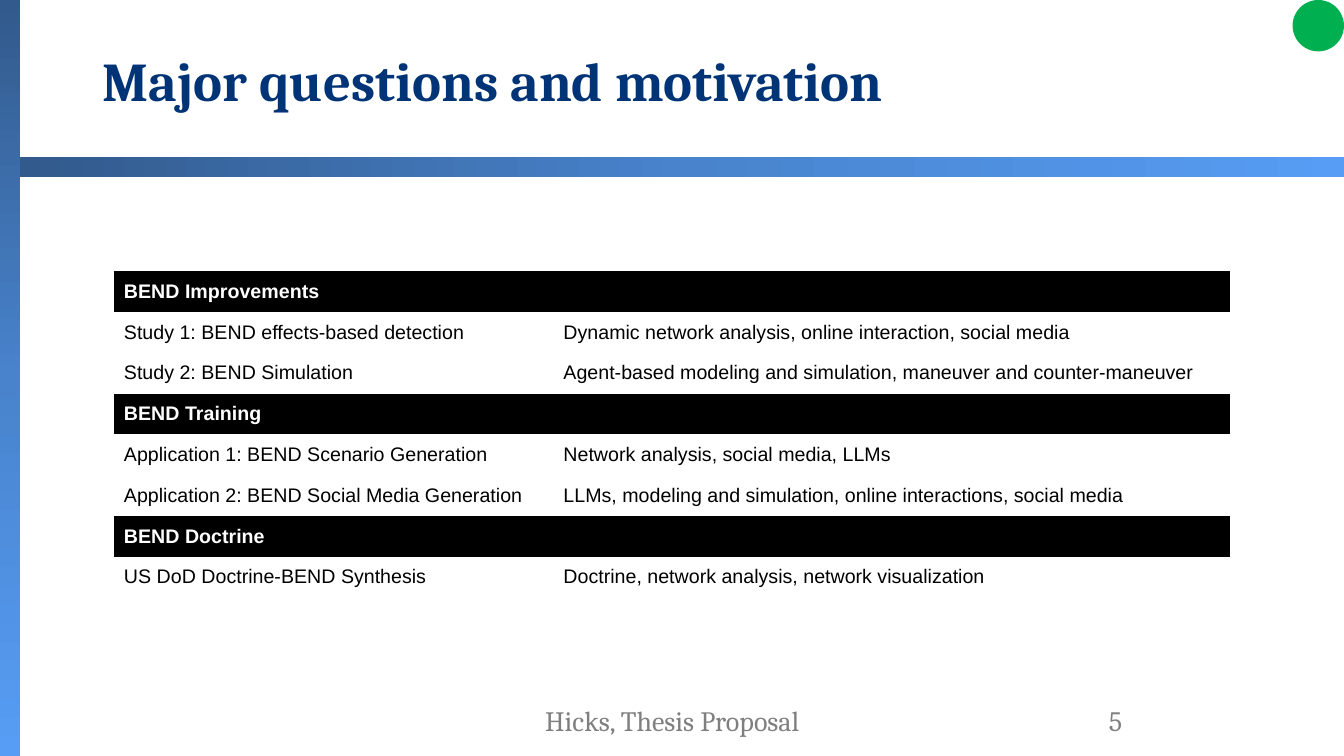
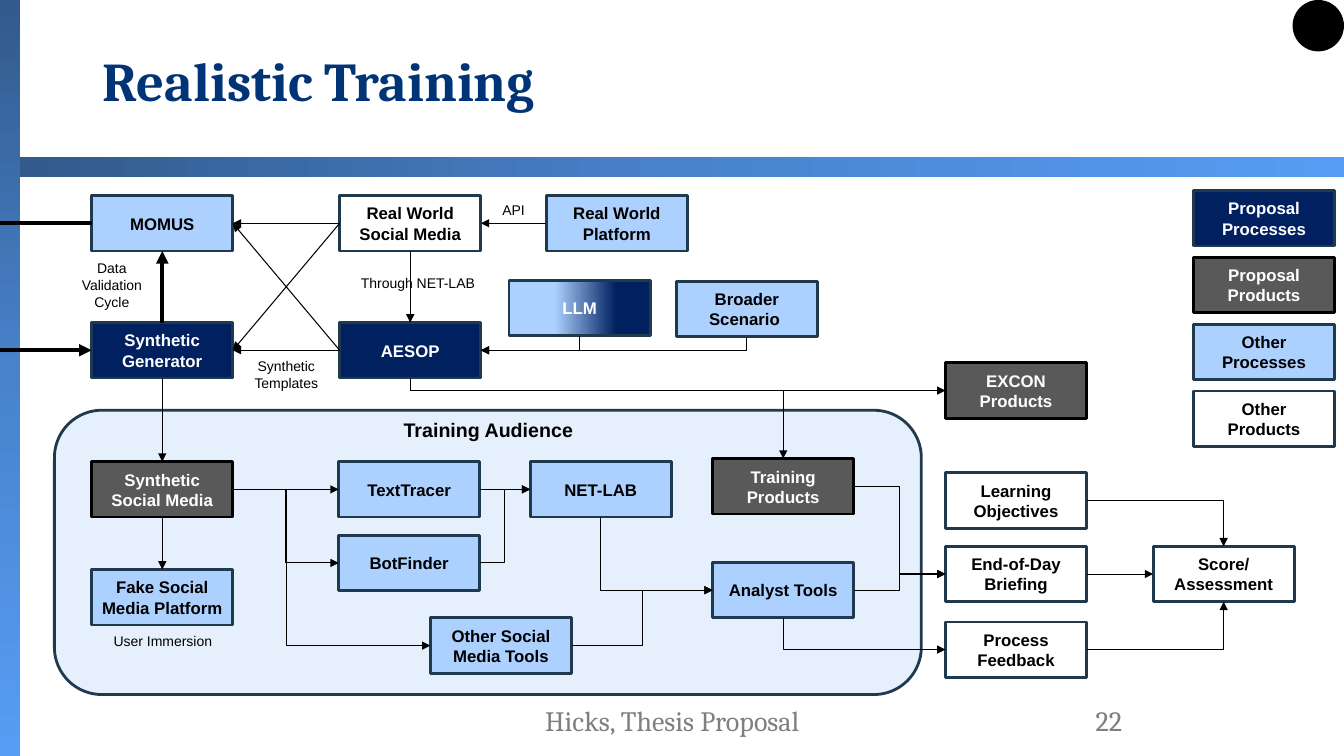
"""Builds two thesis proposal slides: a study overview table and a training process diagram."""
import dataclasses
import enum
import typing

import pptx
import pptx.dml.color
import pptx.enum.dml
import pptx.enum.shapes
import pptx.enum.text
import pptx.oxml
import pptx.oxml.ns
import pptx.util

Align = pptx.enum.text.PP_ALIGN
Anchor = pptx.enum.text.MSO_ANCHOR
Preset = pptx.enum.shapes.MSO_SHAPE
Connector = pptx.enum.shapes.MSO_CONNECTOR
Point = tuple[int, int]
Stops = tuple[tuple[int, str], ...]
Fill = typing.Union[str, Stops]

COLUMNS, ROWS = 133.33, 75
BOX_WIDTH, BOX_HEIGHT = 14, 5.5
NO_GRID_STYLE = "{2D5ABB26-0587-4C30-8999-92F81FD0307C}"


@dataclasses.dataclass(frozen=True)
class Theme:
    heading_font: str = "Cambria"
    body_font: str = "Arial"
    title_size: int = 39
    footer_size: int = 20
    table_size: int = 14
    box_size: int = 12
    label_size: int = 10
    title: str = "003477"
    footer: str = "7F7F7F"
    black: str = "000000"
    white: str = "FFFFFF"
    green: str = "00B050"
    navy: str = "002060"
    sky: str = "ADD1FF"
    pale: str = "E6F0FD"
    gray: str = "595959"
    outline: str = "1F394F"
    band: Stops = ((0, "325A8C"), (50, "4883CC"), (100, "579DF5"))
    blend: Stops = ((32, "ADD1FF"), (76, "002060"))


THEME = Theme()


class Side(enum.IntEnum):
    TOP = 0
    LEFT = 1
    BOTTOM = 2
    RIGHT = 3


class Area(typing.NamedTuple):
    left: float
    top: float
    width: float
    height: float


@dataclasses.dataclass(frozen=True)
class BoxStyle:
    fill: Fill
    text: str
    line: str = THEME.outline


PROPOSAL_PROCESS = BoxStyle(THEME.navy, THEME.white)
PROPOSAL_PRODUCT = BoxStyle(THEME.gray, THEME.white, THEME.black)
OTHER_PROCESS = BoxStyle(THEME.sky, THEME.black)
OTHER_PRODUCT = BoxStyle(THEME.white, THEME.black)
MIXED_PROCESS = BoxStyle(THEME.blend, THEME.white)


class Box(typing.NamedTuple):
    text: str
    left: float
    top: float
    style: BoxStyle


class Link(typing.NamedTuple):
    start: str
    start_side: Side
    end: str
    end_side: Side
    bend: typing.Optional[float] = None
    width: float = 0.75


class Label(typing.NamedTuple):
    text: str
    area: Area
    wrap: bool = False
    size: int = THEME.label_size
    bold: bool = False


TABLE_ROWS = (
    ("BEND Improvements", ""),
    ("Study 1: BEND effects-based detection", "Dynamic network analysis, online interaction, social media"),
    ("Study 2: BEND Simulation", "Agent-based modeling and simulation, maneuver and counter-maneuver"),
    ("BEND Training", ""),
    ("Application 1: BEND Scenario Generation", "Network analysis, social media, LLMs"),
    ("Application 2: BEND Social Media Generation",
     "LLMs, modeling and simulation, online interactions, social media"),
    ("BEND Doctrine", ""),
    ("US DoD Doctrine-BEND Synthesis", "Doctrine, network analysis, network visualization"),
)

BOXES = {
    "momus": Box("MOMUS", 9.1, 19.4, OTHER_PROCESS),
    "generator": Box("Synthetic Generator", 9.1, 32, PROPOSAL_PROCESS),
    "synthetic": Box("Synthetic Social Media", 9.1, 45.8, PROPOSAL_PRODUCT),
    "fake": Box("Fake Social Media Platform", 9.1, 56.5, OTHER_PROCESS),
    "real": Box("Real World Social Media", 33.7, 19.4, OTHER_PRODUCT),
    "aesop": Box("AESOP", 33.7, 32, PROPOSAL_PROCESS),
    "mapper": Box("TextTracer", 33.6, 45.8, OTHER_PROCESS),
    "hunter": Box("BotFinder", 33.6, 53.1, OTHER_PROCESS),
    "tools": Box("Other Social Media Tools", 42.7, 61.3, OTHER_PROCESS),
    "platform": Box("Real World Platform", 54.2, 19.4, OTHER_PROCESS),
    "llm": Box("LLM", 50.5, 27.8, MIXED_PROCESS),
    "scenario": Box("Broader Scenario ", 67.1, 27.9, OTHER_PROCESS),
    "network": Box("NET-LAB", 52.6, 45.8, OTHER_PROCESS),
    "training": Box("Training Products", 70.7, 45.5, PROPOSAL_PRODUCT),
    "analyst": Box("Analyst Tools", 70.7, 55.8, OTHER_PROCESS),
    "excon": Box("EXCON Products", 93.8, 36, PROPOSAL_PRODUCT),
    "objectives": Box("Learning Objectives", 93.8, 46.9, OTHER_PRODUCT),
    "briefing": Box("End-of-Day Briefing", 93.8, 54.2, OTHER_PRODUCT),
    "feedback": Box("Process Feedback", 93.8, 61.7, OTHER_PRODUCT),
    "score": Box("Score/ Assessment", 114.4, 54.2, OTHER_PRODUCT),
}

LEGEND = (
    ("Proposal Processes", PROPOSAL_PROCESS),
    ("Proposal Products", PROPOSAL_PRODUCT),
    ("Other Processes", OTHER_PROCESS),
    ("Other Products", OTHER_PRODUCT),
)

LINKS = (
    Link("generator", Side.BOTTOM, "synthetic", Side.TOP),
    Link("generator", Side.TOP, "momus", Side.BOTTOM, width=3),
    Link("synthetic", Side.BOTTOM, "fake", Side.TOP),
    Link("aesop", Side.LEFT, "generator", Side.RIGHT),
    Link("aesop", Side.LEFT, "momus", Side.RIGHT),
    Link("real", Side.LEFT, "generator", Side.RIGHT),
    Link("real", Side.LEFT, "momus", Side.RIGHT),
    Link("real", Side.BOTTOM, "aesop", Side.TOP),
    Link("platform", Side.LEFT, "real", Side.RIGHT),
    Link("llm", Side.BOTTOM, "aesop", Side.RIGHT),
    Link("scenario", Side.BOTTOM, "aesop", Side.RIGHT),
    Link("aesop", Side.BOTTOM, "excon", Side.LEFT),
    Link("aesop", Side.BOTTOM, "training", Side.TOP, 0.16),
    Link("synthetic", Side.RIGHT, "mapper", Side.LEFT),
    Link("synthetic", Side.RIGHT, "hunter", Side.LEFT, 0.5),
    Link("synthetic", Side.RIGHT, "tools", Side.LEFT, 0.27),
    Link("mapper", Side.RIGHT, "network", Side.LEFT),
    Link("hunter", Side.RIGHT, "network", Side.LEFT, 0.5),
    Link("tools", Side.RIGHT, "analyst", Side.LEFT, 0.5),
    Link("network", Side.BOTTOM, "analyst", Side.LEFT),
    Link("training", Side.RIGHT, "briefing", Side.LEFT, 0.5),
    Link("analyst", Side.RIGHT, "briefing", Side.LEFT, 0.5),
    Link("analyst", Side.BOTTOM, "feedback", Side.LEFT),
    Link("objectives", Side.RIGHT, "score", Side.TOP),
    Link("briefing", Side.RIGHT, "score", Side.LEFT),
    Link("feedback", Side.RIGHT, "score", Side.BOTTOM),
)

LABELS = (
    Label("Through NET-LAB", Area(34.4, 26.7, 14.1, 2.7)),
    Label("Synthetic Templates", Area(22.2, 35, 12.4, 4.4), wrap=True),
    Label("Data Validation\nCycle", Area(6.1, 25.3, 10, 6.1), wrap=True),
    Label("User Immersion", Area(10.2, 62.3, 11.9, 2.7)),
    Label("API", Area(48.8, 19.5, 4.3, 2.7)),
    Label("Training Audience", Area(38.9, 41, 19.1, 3.4), size=THEME.table_size, bold=True),
)


def grid(cells: float) -> int:
    """Turns grid cells of a tenth of an inch into a length."""
    return pptx.util.Inches(cells / 10)


def rgb(color: str) -> pptx.dml.color.RGBColor:
    """Reads a hexadecimal colour."""
    return pptx.dml.color.RGBColor.from_string(color)


def write_text(frame, text: str, *, size: float, color: str, font: str = THEME.body_font, bold: bool = False,
               align=Align.LEFT, anchor=Anchor.MIDDLE, wrap: bool = True, spacing: float = 1.0) -> None:
    """Writes one paragraph per line of text in a single format."""
    frame.word_wrap = wrap
    frame.vertical_anchor = anchor
    for index, line in enumerate(text.split("\n")):
        paragraph = frame.paragraphs[0] if index == 0 else frame.add_paragraph()
        paragraph.alignment = align
        paragraph.line_spacing = spacing
        run = paragraph.add_run()
        run.text = line
        run.font.name, run.font.size, run.font.bold = font, pptx.util.Pt(size), bold
        run.font.color.rgb = rgb(color)


def add_text(slide, area: Area, text: str, **text_format) -> None:
    """Adds a text box."""
    write_text(slide.shapes.add_textbox(*map(grid, area)).text_frame, text, **text_format)


def add_shape(slide, preset, area: Area, fill: Fill, line: typing.Optional[str] = None, angle: int = 0):
    """Adds a preset shape with a solid or gradient fill."""
    shape = slide.shapes.add_shape(preset, *map(grid, area))
    shape.shadow.inherit = False
    if isinstance(fill, str):
        shape.fill.solid()
        shape.fill.fore_color.rgb = rgb(fill)
    else:
        shape.fill.gradient()
        shape.fill.gradient_angle = angle
        stop_list = shape._element.spPr.find(".//" + pptx.oxml.ns.qn("a:gsLst"))
        stop_list.clear()
        for position, color in fill:
            stop_list.append(pptx.oxml.parse_xml(
                f'<a:gs {pptx.oxml.ns.nsdecls("a")} pos="{position * 1000}"><a:srgbClr val="{color}"/></a:gs>'))
    if line:
        shape.line.color.rgb = rgb(line)
        shape.line.width = pptx.util.Pt(2)
    else:
        shape.line.fill.background()
    return shape


def add_box(slide, box: Box):
    """Adds a process or product box."""
    shape = add_shape(slide, Preset.RECTANGLE, Area(box.left, box.top, BOX_WIDTH, BOX_HEIGHT),
                      box.style.fill, box.style.line)
    write_text(shape.text_frame, box.text, size=THEME.box_size, color=box.style.text, bold=True, align=Align.CENTER)
    return shape


def add_line(slide, kind, start: Point, end: Point, width: float, arrow: bool = True):
    """Adds a black connector, with an arrowhead at its end if asked."""
    connector = slide.shapes.add_connector(kind, *start, *end)
    connector.line.color.rgb = rgb(THEME.black)
    connector.line.width = pptx.util.Pt(width)
    namespace = pptx.oxml.ns.nsdecls("a")
    if arrow:
        connector.line._get_or_add_ln().append(pptx.oxml.parse_xml(f'<a:tailEnd {namespace} type="triangle"/>'))
    connector._element.spPr.append(pptx.oxml.parse_xml(f"<a:effectLst {namespace}/>"))
    return connector


def side_middle(shape, side: Side) -> Point:
    """Finds the middle of a side of a shape."""
    across = {Side.LEFT: 0, Side.RIGHT: shape.width}.get(side, shape.width // 2)
    down = {Side.TOP: 0, Side.BOTTOM: shape.height}.get(side, shape.height // 2)
    return shape.left + across, shape.top + down


def add_link(slide, shapes: dict, link: Link) -> None:
    """Joins two boxes with a straight or elbow connector."""
    first, last = shapes[link.start], shapes[link.end]
    start, end = side_middle(first, link.start_side), side_middle(last, link.end_side)
    corner = link.start_side % 2 != link.end_side % 2
    elbow = corner or link.bend is not None
    connector = add_line(slide, Connector.ELBOW if elbow else Connector.STRAIGHT, start, end, link.width)
    connector.begin_connect(first, int(link.start_side))
    connector.end_connect(last, int(link.end_side))
    if not elbow:
        return
    properties = connector._element.spPr
    if link.start_side in (Side.TOP, Side.BOTTOM):
        across, down = end[0] - start[0], end[1] - start[1]
        turn = 1 if across < 0 else -1
        center = (start[0] + end[0]) // 2, (start[1] + end[1]) // 2
        half = turn * down // 2, -turn * across // 2
        connector.begin_x, connector.begin_y = center[0] - half[0], center[1] - half[1]
        connector.end_x, connector.end_y = center[0] + half[0], center[1] + half[1]
        properties.find(pptx.oxml.ns.qn("a:xfrm")).set("rot", str(turn * 90 % 360 * 60000))
    geometry = properties.find(pptx.oxml.ns.qn("a:prstGeom"))
    if corner:
        geometry.set("prst", "bentConnector2")
    else:
        guides = geometry.find(pptx.oxml.ns.qn("a:avLst"))
        guides.append(pptx.oxml.parse_xml(
            f'<a:gd {pptx.oxml.ns.nsdecls("a")} name="adj1" fmla="val {round(link.bend * 100000)}"/>'))


def add_base_slide(presentation, title: str, number: int, dot: str):
    """Adds a slide with its bands, title, footer and status dot."""
    slide = presentation.slides.add_slide(presentation.slide_layouts[6])
    add_shape(slide, Preset.RECTANGLE, Area(0, 0, 2, ROWS), THEME.band, angle=270)
    add_shape(slide, Preset.RECTANGLE, Area(2, 15.6, COLUMNS - 2, 2), THEME.band)
    add_text(slide, Area(9.2, 1.6, 115, 13.4), title, size=THEME.title_size, color=THEME.title,
             font=THEME.heading_font, bold=True, spacing=0.9)
    footer = dict(size=THEME.footer_size, color=THEME.footer, font=THEME.heading_font)
    add_text(slide, Area(94.2, 69.5, 18.1, 4), str(number), align=Align.RIGHT, **footer)
    add_text(slide, Area(44.2, 69.5, 45, 4), "Hicks, Thesis Proposal", align=Align.CENTER, **footer)
    add_shape(slide, Preset.OVAL, Area(COLUMNS - 5.1, 0, 5.1, 5.1), dot)
    return slide


def add_study_table(slide) -> None:
    """Adds the table of studies, with a black row above each group."""
    widths = 43.6, 67.1
    area = Area(11.3, 26.9, sum(widths), 32.4)
    table = slide.shapes.add_table(len(TABLE_ROWS), len(widths), *map(grid, area)).table
    table.first_row = table.horz_banding = False
    table._tbl.tblPr.find(pptx.oxml.ns.qn("a:tableStyleId")).text = NO_GRID_STYLE
    for column, width in zip(table.columns, widths):
        column.width = grid(width)
    for row, texts in zip(table.rows, TABLE_ROWS):
        row.height = grid(area.height / len(TABLE_ROWS))
        heading = not texts[1]
        for cell, text in zip(row.cells, texts):
            cell.vertical_anchor = Anchor.MIDDLE
            if heading:
                cell.fill.solid()
                cell.fill.fore_color.rgb = rgb(THEME.black)
            else:
                cell.fill.background()
            if text:
                write_text(cell.text_frame, text, size=THEME.table_size, bold=heading,
                           color=THEME.white if heading else THEME.black)


def add_training_diagram(slide) -> None:
    """Adds the training process diagram and its legend."""
    add_shape(slide, Preset.ROUNDED_RECTANGLE, Area(5.4, 40.7, 86, 28.2), THEME.pale, THEME.outline)
    shapes = {name: add_box(slide, box) for name, box in BOXES.items()}
    for index, (text, style) in enumerate(LEGEND):
        add_box(slide, Box(text, 118.4, 18.9 + 6.63 * index, style))
    for link in LINKS:
        add_link(slide, shapes, link)
    left_middle = side_middle(shapes["momus"], Side.LEFT)
    add_line(slide, Connector.STRAIGHT, left_middle, (0, left_middle[1]), 3,
             arrow=False).begin_connect(shapes["momus"], int(Side.LEFT))
    left_middle = side_middle(shapes["generator"], Side.LEFT)
    add_line(slide, Connector.STRAIGHT, (0, left_middle[1]), left_middle,
             3).end_connect(shapes["generator"], int(Side.LEFT))
    for label in LABELS:
        add_text(slide, label.area, label.text, size=label.size, color=THEME.black, bold=label.bold,
                 align=Align.CENTER, anchor=Anchor.TOP, wrap=label.wrap)


def main() -> None:
    """Builds and saves the presentation."""
    presentation = pptx.Presentation()
    presentation.slide_width, presentation.slide_height = grid(COLUMNS), grid(ROWS)
    add_study_table(add_base_slide(presentation, "Major questions and motivation", 5, THEME.green))
    add_training_diagram(add_base_slide(presentation, "Realistic Training", 22, THEME.black))
    presentation.save("out.pptx")


if __name__ == "__main__":
    main()
